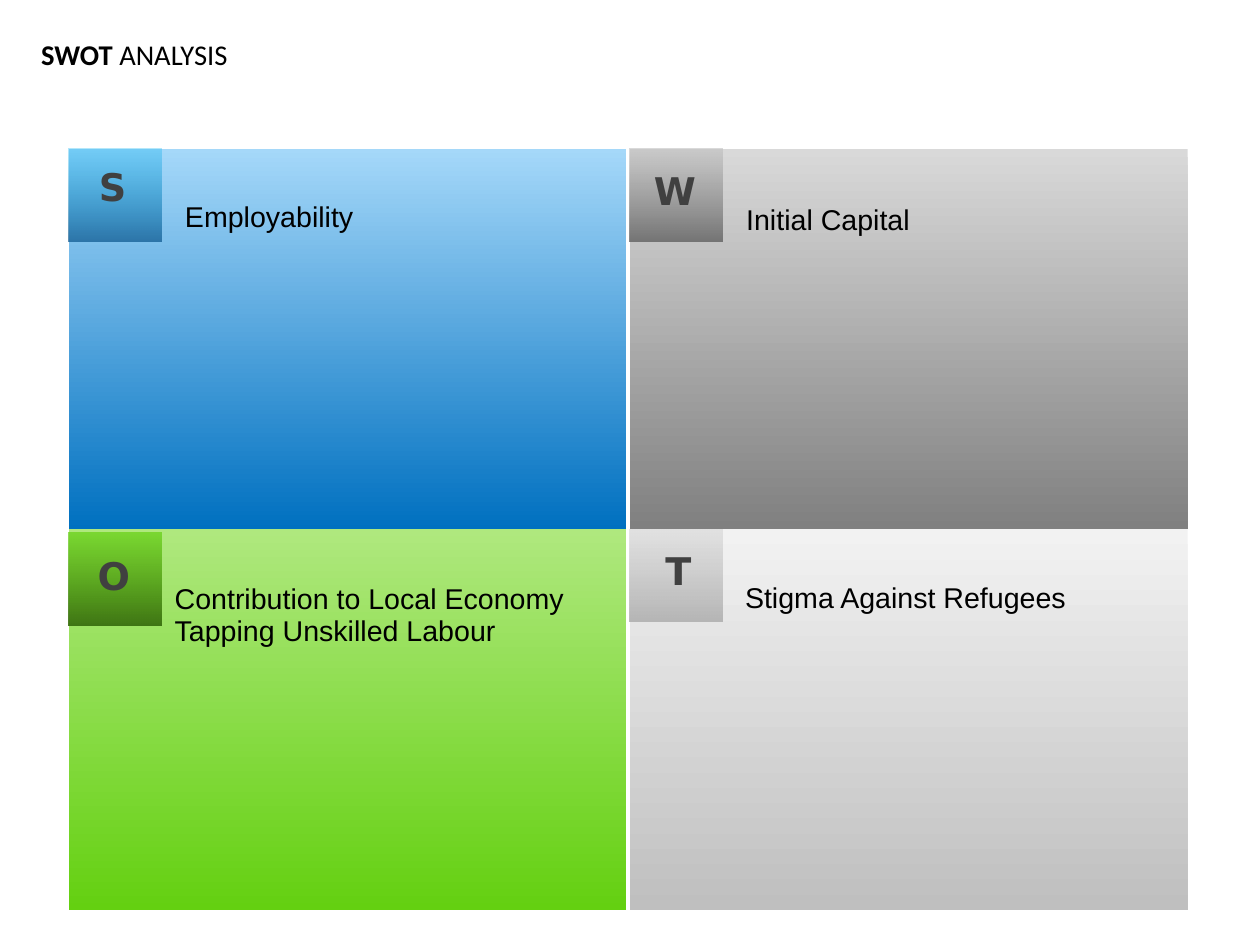
from collections import namedtuple

from pptx import Presentation
from pptx import util as u
from pptx.dml.color import RGBColor
from pptx.enum import shapes, text
from pptx.oxml import ns, xmlchemy

BLACK = RGBColor(0x00, 0x00, 0x00)
LETTER_GREY = RGBColor(0x40, 0x40, 0x40)
SKY, BLUE = RGBColor(0xA5, 0xD8, 0xF9), RGBColor(0x00, 0x70, 0xC0)
CYAN, NAVY = RGBColor(0x00, 0xB0, 0xF0), RGBColor(0x00, 0x4C, 0x84)
SILVER, GREY = RGBColor(0xD9, 0xD9, 0xD9), RGBColor(0x80, 0x80, 0x80)
ASH, IRON = RGBColor(0xBF, 0xBF, 0xBF), RGBColor(0x59, 0x59, 0x59)
MIST, STEEL = RGBColor(0xF2, 0xF2, 0xF2), RGBColor(0xA6, 0xA6, 0xA6)
LIME, GREEN = RGBColor(0xAF, 0xE8, 0x7E), RGBColor(0x64, 0xD0, 0x11)
FOREST = RGBColor(0x32, 0x66, 0x09)

LEFT, TOP = 0.6, 1.3
PANEL_W, PANEL_H = 4.88, 3.33
COLUMN_STEP = 4.91
BADGE = 0.81

# Colours run top to bottom; opacity is in percent.
# Badge and points are placed from the panel corner, the letter from the badge corner.
Quadrant = namedtuple(
    "Quadrant",
    "letter points panel_colors badge_colors opacity badge_dy letter_at points_at points_w")

QUADRANTS = [
    Quadrant("S", ["Employability"], (SKY, BLUE), (CYAN, NAVY), (30, 65),
             0, (0.06, 0.12), (0.92, 0.42), 3.58),
    Quadrant("W", ["Initial Capital"], (SILVER, GREY), (ASH, IRON), (58, 74),
             0, (0.07, 0.15), (0.92, 0.44), 3.79),
    Quadrant("O", ["Contribution to Local Economy", "Tapping Unskilled Labour"],
             (LIME, GREEN), (GREEN, FOREST), (70, 88),
             0.03, (0.07, 0.16), (0.83, 0.43), 3.89),
    Quadrant("T", ["Stigma Against Refugees"], (MIST, ASH), (SILVER, STEEL), (66, 75),
             0, (0.1, 0.15), (0.91, 0.42), 3.67),
]


def add_run(paragraph, words, font, size, color, bold=False):
    run = paragraph.add_run()
    run.text = words
    run.font.name = font
    run.font.size = u.Pt(size)
    run.font.color.rgb = color
    run.font.bold = bold


def add_gradient_box(slide, left, top, width, height, colors, opacity=(100, 100)):
    box = slide.shapes.add_shape(
        shapes.MSO_SHAPE.RECTANGLE,
        u.Inches(left), u.Inches(top), u.Inches(width), u.Inches(height))
    box.shadow.inherit = False
    box.line.fill.background()
    box.fill.gradient()
    box.fill.gradient_angle = 270
    for stop, color in zip(box.fill.gradient_stops, colors):
        stop.color.rgb = color
    for node, percent in zip(box._element.spPr.iter(ns.qn("a:srgbClr")), opacity):
        if percent < 100:
            alpha = xmlchemy.OxmlElement("a:alpha")
            alpha.set("val", str(percent * 1000))
            node.append(alpha)


def add_lines(slide, left, top, width, height, lines, font, size, color,
              bold=False, align=text.PP_ALIGN.LEFT):
    frame = slide.shapes.add_textbox(
        u.Inches(left), u.Inches(top), u.Inches(width), u.Inches(height)).text_frame
    frame.word_wrap = True
    for i, line in enumerate(lines):
        paragraph = frame.add_paragraph() if i else frame.paragraphs[0]
        paragraph.alignment = align
        paragraph.line_spacing = 0.93
        add_run(paragraph, line, font, size, color, bold)


def add_title(slide, left, top, width, height):
    title = slide.shapes.title
    title.left, title.top = u.Inches(left), u.Inches(top)
    title.width, title.height = u.Inches(width), u.Inches(height)
    frame = title.text_frame
    frame.word_wrap = False
    frame.auto_size = text.MSO_AUTO_SIZE.NONE
    frame.vertical_anchor = text.MSO_ANCHOR.TOP
    heading = frame.paragraphs[0]
    heading.alignment = text.PP_ALIGN.LEFT
    heading.line_spacing = 0.93
    add_run(heading, "SWOT ", "Calibri", 18, BLACK, bold=True)
    add_run(heading, "ANALYSIS", "Calibri", 18, BLACK)


def add_quadrant(slide, left, top, width, height, quadrant):
    # Panel
    add_gradient_box(slide, left, top, width, height, quadrant.panel_colors)
    # Letter badge
    badge_top = top + quadrant.badge_dy
    add_gradient_box(slide, left, badge_top, BADGE, BADGE,
                     quadrant.badge_colors, quadrant.opacity)
    dx, dy = quadrant.letter_at
    add_lines(slide, left + dx, badge_top + dy, 0.65, 0.48, [quadrant.letter],
              "DejaVu Sans", 24, LETTER_GREY, True, text.PP_ALIGN.CENTER)
    # Points
    dx, dy = quadrant.points_at
    add_lines(slide, left + dx, top + dy, quadrant.points_w,
              0.1 + 0.28 * len(quadrant.points), quadrant.points, "Arial", 18, BLACK)


def main():
    deck = Presentation()
    deck.slide_width, deck.slide_height = u.Cm(28), u.Cm(21)
    slide = deck.slides.add_slide(deck.slide_layouts[5])
    add_title(slide, 0.26, 0.3, 1.85, 0.39)
    for i, quadrant in enumerate(QUADRANTS):
        row, column = divmod(i, 2)
        add_quadrant(slide, LEFT + column * COLUMN_STEP, TOP + row * PANEL_H,
                     PANEL_W, PANEL_H, quadrant)
    deck.save("out.pptx")


if __name__ == "__main__":
    main()
